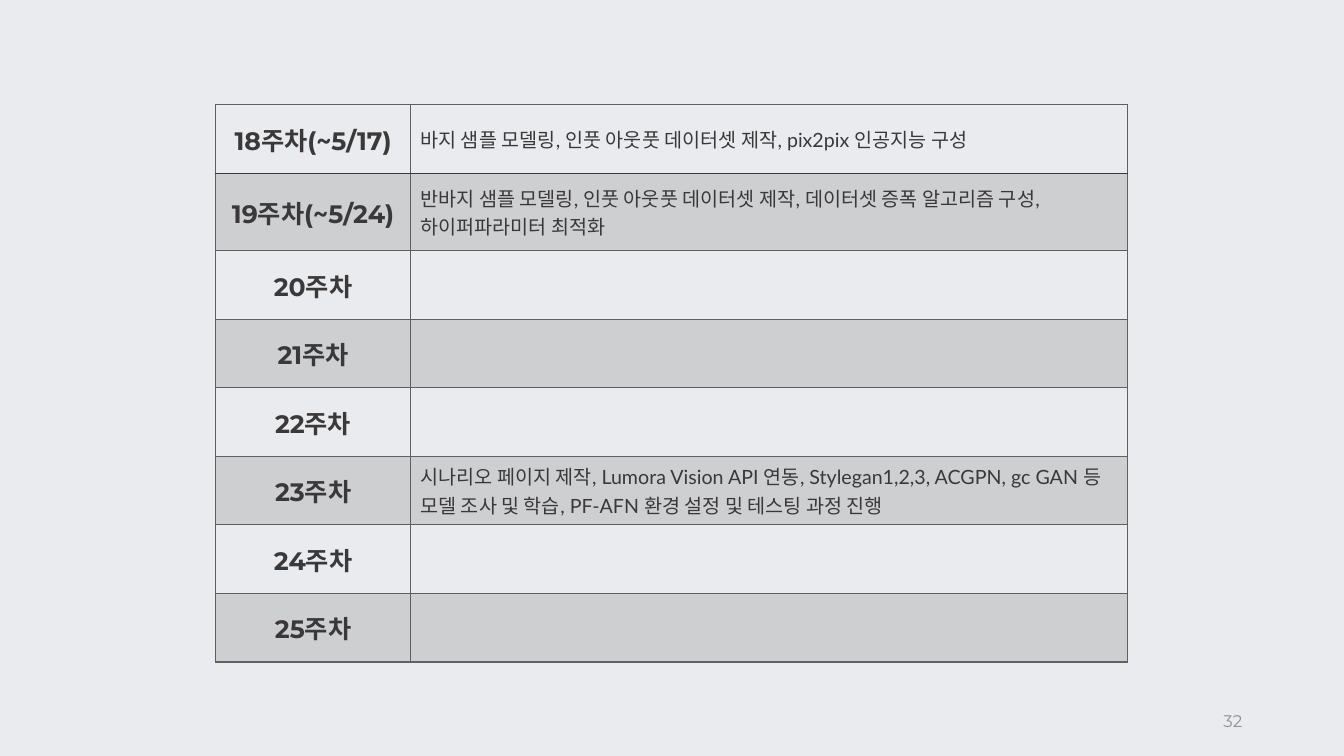
from lxml import etree
from pptx import Presentation
from pptx.dml.color import RGBColor
from pptx.enum.text import MSO_ANCHOR, PP_ALIGN
from pptx.oxml.ns import qn
from pptx.util import Inches, Pt

MIDDLE = MSO_ANCHOR.MIDDLE
LEFT, CENTER, RIGHT = PP_ALIGN.LEFT, PP_ALIGN.CENTER, PP_ALIGN.RIGHT

BACKGROUND = RGBColor(0xEA, 0xEB, 0xEE)
GRAY = RGBColor(0x5F, 0x5F, 0x5D)
DARK = RGBColor(0x3A, 0x38, 0x38)
PAGE_GRAY = RGBColor(0x91, 0x91, 0x91)

HEADING_FONT = "Montserrat"
BODY_FONT = "Lato"
BAND_OPACITY = 20
ROW_HEIGHT = Inches(0.68)
COLUMN_WIDTHS = (Inches(1.93), Inches(7.11))

SCHEDULE = [
    ("18주차(~5/17)", "바지 샘플 모델링, 인풋 아웃풋 데이터셋 제작, pix2pix 인공지능 구성"),
    ("19주차(~5/24)", "반바지 샘플 모델링, 인풋 아웃풋 데이터셋 제작, "
                    "데이터셋 증폭 알고리즘 구성, 하이퍼파라미터 최적화"),
    ("20주차", ""),
    ("21주차", ""),
    ("22주차", ""),
    ("23주차", "시나리오 페이지 제작, Lumora Vision API 연동, Stylegan1,2,3, ACGPN, gc GAN "
             "등 모델 조사 및 학습, PF-AFN 환경 설정 및 테스팅 과정 진행"),
    ("24주차", ""),
    ("25주차", ""),
]


def write_text(text_frame, text, font_name, size, color, alignment, bold=False):
    paragraph = text_frame.paragraphs[0]
    paragraph.alignment = alignment
    if not text:
        return
    run = paragraph.add_run()
    run.text = text
    run.font.name = font_name
    run.font.size = Pt(size)
    run.font.bold = bold
    run.font.color.rgb = color


def set_borders(cell, top_color, bottom_color):
    properties = cell._tc.get_or_add_tcPr()
    sides = {"lnL": GRAY, "lnR": GRAY, "lnT": top_color, "lnB": bottom_color}
    for side, color in sides.items():
        line = etree.SubElement(properties, qn(f"a:{side}"), w=str(Pt(1)))
        fill = etree.SubElement(line, qn("a:solidFill"))
        etree.SubElement(fill, qn("a:srgbClr"), val=str(color))


def set_band(cell, banded):
    """Tint a banded cell with translucent gray and leave the others clear."""
    if not banded:
        cell.fill.background()
        return
    cell.fill.solid()
    cell.fill.fore_color.rgb = GRAY
    color = cell._tc.tcPr.find(f"{qn('a:solidFill')}/{qn('a:srgbClr')}")
    etree.SubElement(color, qn("a:alpha"), val=str(BAND_OPACITY * 1000))


def add_schedule(slide):
    table = slide.shapes.add_table(
        len(SCHEDULE), len(COLUMN_WIDTHS), Inches(2.14), Inches(1.04),
        sum(COLUMN_WIDTHS), ROW_HEIGHT * len(SCHEDULE)).table
    table.first_row = False
    table.horz_banding = False
    for column, width in zip(table.columns, COLUMN_WIDTHS):
        column.width = width
    for index, (week, tasks) in enumerate(SCHEDULE):
        table.rows[index].height = ROW_HEIGHT
        week_cell, task_cell = table.rows[index].cells
        for cell in (week_cell, task_cell):
            cell.vertical_anchor = MIDDLE
            set_borders(cell, DARK if index == 1 else GRAY, DARK if index == 0 else GRAY)
            set_band(cell, index % 2 == 1)
        write_text(week_cell.text_frame, week, HEADING_FONT, 18, DARK, CENTER, bold=True)
        write_text(task_cell.text_frame, tasks, BODY_FONT, 14, DARK, LEFT)


def add_page_number(slide, number):
    box = slide.shapes.add_textbox(Inches(9.42), Inches(6.95), Inches(3), Inches(0.4))
    box.text_frame.word_wrap = True
    box.text_frame.vertical_anchor = MIDDLE
    write_text(box.text_frame, number, HEADING_FONT, 12, PAGE_GRAY, RIGHT)


def main():
    presentation = Presentation()
    presentation.slide_width = Inches(13.33)
    presentation.slide_height = Inches(7.5)
    slide = presentation.slides.add_slide(presentation.slide_layouts[6])
    slide.background.fill.solid()
    slide.background.fill.fore_color.rgb = BACKGROUND
    add_schedule(slide)
    add_page_number(slide, "32")
    presentation.save("out.pptx")


if __name__ == "__main__":
    main()
